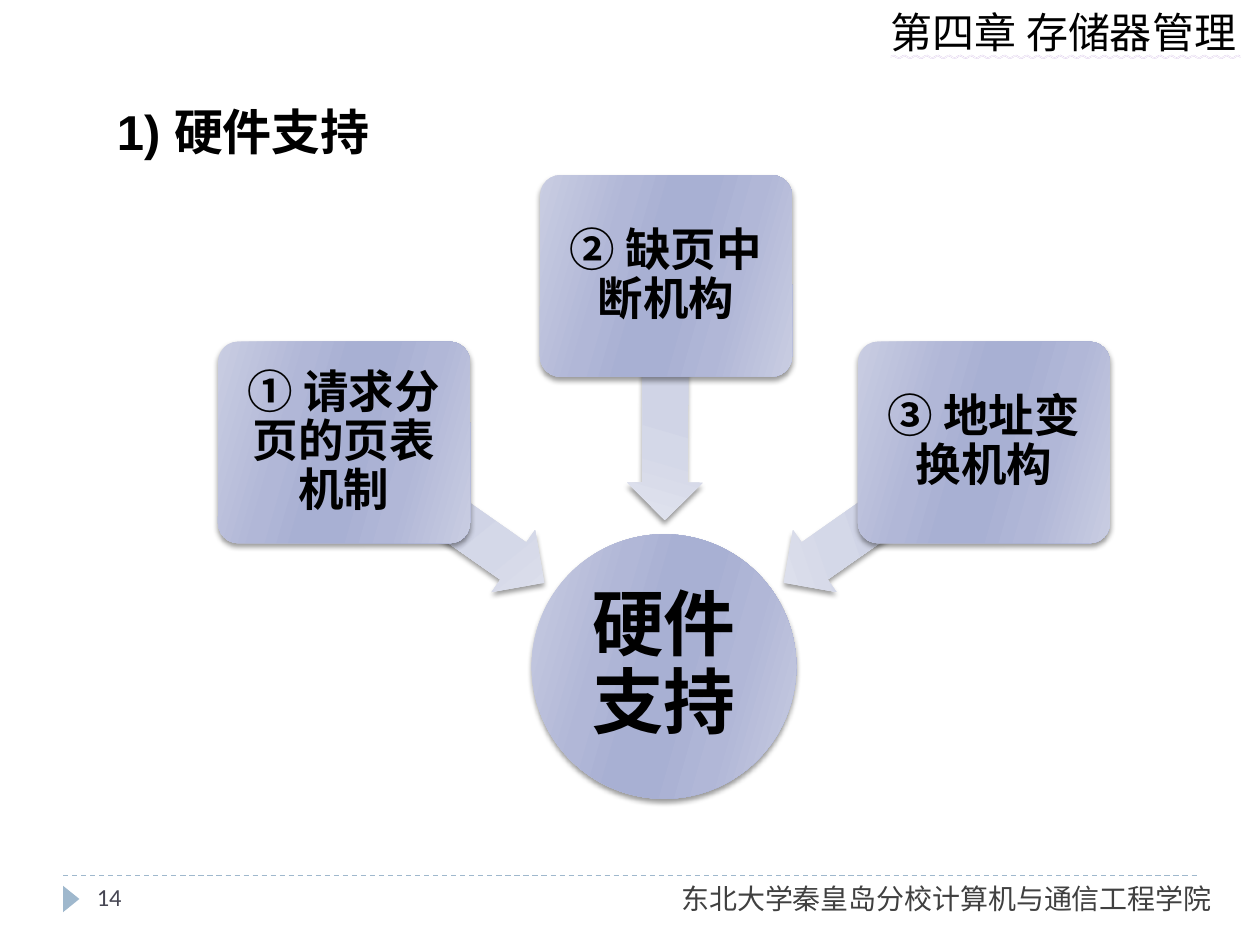
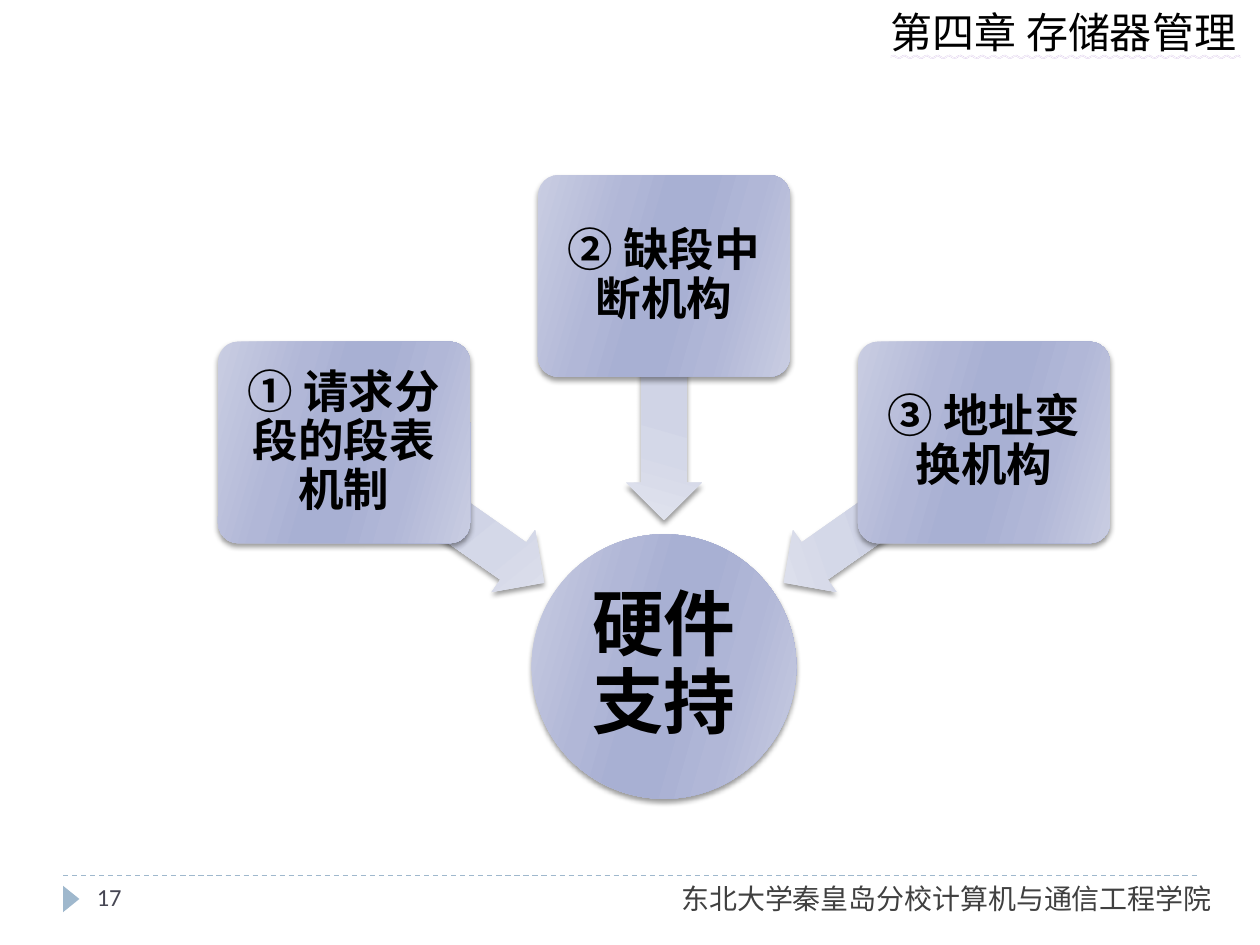
"""Build two slides on the hardware support for paging and segments."""
import math

from lxml import etree
from pptx import Presentation
from pptx import util as u
from pptx.dml.color import RGBColor
from pptx.enum import dml, shapes, text
from pptx.oxml.ns import qn

BLACK = RGBColor(0x00, 0x00, 0x00)
GREY = RGBColor(0x40, 0x40, 0x40)
SLATE = RGBColor(0x46, 0x46, 0x53)
STEEL = RGBColor(0x9F, 0xB8, 0xCD)
LILAC = RGBColor(0xC0, 0xA0, 0xDC)

EDGE, MID, CORE = (RGBColor.from_string(c) for c in ("C9CDE2", "B1B7D7", "A8B0D3"))
PALE_EDGE, PALE_MID, PALE_CORE = (
    RGBColor.from_string(c) for c in ("E1E3EE", "D4D8E8", "D0D4E6"))
NODE_TONES = (EDGE, MID, CORE)
ARROW_TONES = (PALE_EDGE, PALE_MID, PALE_CORE)
STOPS = (0, 30, 45, 55, 73, 100)

WIDTH, HEIGHT = u.Inches(10), u.Inches(7.5)
COLS = 100
HUB = (52.7, 52.9)
HUB_SIZE = 21
NODE_SIZE = (20, 16)
ARROW_SIZE = (19.4, 6)
NODE_ORBIT, ARROW_ORBIT = 31, 21.3
LEFT, TOP, RIGHT = 215, 270, 325


def cells(*counts):
    """Turn counts of grid cells into lengths."""
    return [round(n * WIDTH / COLS) for n in counts]


def style(frame, size, color, font="Calibri", bold=False):
    """Format every run of a text frame."""
    for para in frame.paragraphs:
        for run in para.runs:
            run.font.name, run.font.size = font, u.Pt(size)
            run.font.bold, run.font.color.rgb = bold, color


def label(slide, words, box, size, color, wrap=True, **look):
    """Add a text box and return its frame."""
    frame = slide.shapes.add_textbox(*cells(*box)).text_frame
    frame.word_wrap = wrap
    frame.text = words
    style(frame, size, color, **look)
    return frame


def wave(frame, color):
    """Underline the first run with a coloured double wave."""
    font = frame.paragraphs[0].runs[0].font
    font.underline = text.MSO_UNDERLINE.WAVY_DOUBLE_LINE
    props = frame.paragraphs[0].runs[0]._r.rPr
    line = etree.Element(qn("a:uFill"))
    fill = etree.SubElement(line, qn("a:solidFill"))
    etree.SubElement(fill, qn("a:srgbClr"), val=str(color))
    props.find(qn("a:solidFill")).addnext(line)


def shade(shape, tones):
    """Fill a shape with a mirrored gradient."""
    shape.fill.gradient()
    shape.fill.gradient_angle = 344
    stops = shape._element.spPr.find(qn("a:gradFill")).find(qn("a:gsLst"))
    for old in list(stops):
        stops.remove(old)
    for place, tone in zip(STOPS, tones + tones[::-1]):
        stop = etree.SubElement(stops, qn("a:gs"), pos=str(place * 1000))
        etree.SubElement(stop, qn("a:srgbClr"), val=str(tone))


def drop(shape):
    """Give a shape a soft shadow below it."""
    shape.shadow.inherit = False
    effects = shape._element.spPr.find(qn("a:effectLst"))
    cast = etree.SubElement(
        effects, qn("a:outerShdw"), blurRad=str(u.Pt(3)), dist=str(u.Pt(2)),
        dir="5400000", rotWithShape="0")
    tint = etree.SubElement(cast, qn("a:srgbClr"), val=str(BLACK))
    etree.SubElement(tint, qn("a:alpha"), val="40000")


def solid(slide, kind, mid, size, tones):
    """Add a shaded shape around a middle point."""
    (x, y), (w, h) = mid, size
    shape = slide.shapes.add_shape(kind, *cells(x - w / 2, y - h / 2, w, h))
    shade(shape, tones)
    shape.line.fill.background()
    drop(shape)
    return shape


def write(shape, words, size, inset):
    """Set centred bold text inside a shape."""
    frame = shape.text_frame
    frame.word_wrap = True
    frame.vertical_anchor = text.MSO_ANCHOR.MIDDLE
    frame.margin_left = frame.margin_right = u.Inches(inset)
    frame.margin_top = frame.margin_bottom = u.Inches(inset)
    frame.text = words
    frame.paragraphs[0].alignment = text.PP_ALIGN.CENTER
    frame.paragraphs[0].line_spacing = 0.9
    style(frame, size, BLACK, bold=True)


def orbit(angle, reach):
    """Find the point at an angle and a reach from the hub."""
    turn = math.radians(angle)
    return HUB[0] + reach * math.cos(turn), HUB[1] + reach * math.sin(turn)


def spoke(slide, angle, words):
    """Add a node and its arrow towards the hub."""
    arrow = solid(slide, shapes.MSO_SHAPE.LEFT_ARROW,
                  orbit(angle, ARROW_ORBIT), ARROW_SIZE, ARROW_TONES)
    arrow.adjustments[0], arrow.adjustments[1] = 0.6, 0.5
    arrow.rotation = angle
    node = solid(slide, shapes.MSO_SHAPE.ROUNDED_RECTANGLE,
                 orbit(angle, NODE_ORBIT), NODE_SIZE, NODE_TONES)
    node.adjustments[0] = 0.1
    write(node, words, 26, 0.05)


def wheel(slide, nodes):
    """Draw the hub and its spokes."""
    hub = solid(slide, shapes.MSO_SHAPE.OVAL, HUB, (HUB_SIZE, HUB_SIZE), NODE_TONES)
    write(hub, "硬件支持", 41, 0.03)
    for angle, words in nodes:
        spoke(slide, angle, words)


def frame_page(slide, number):
    """Add the chapter header, the footer rule and the page number."""
    rule = slide.shapes.add_connector(
        shapes.MSO_CONNECTOR.STRAIGHT, *cells(5, 69.5, 95, 69.5))
    rule.line.color.rgb, rule.line.width = STEEL, u.Pt(0.75)
    rule.line.dash_style = dml.MSO_LINE.DASH
    etree.SubElement(rule._element.spPr, qn("a:effectLst"))
    mark = slide.shapes.add_shape(
        shapes.MSO_SHAPE.ISOSCELES_TRIANGLE, *cells(4.6, 70.7, 2.1, 1.3))
    mark.rotation = 90
    mark.fill.solid()
    mark.fill.fore_color.rgb = STEEL
    mark.line.fill.background()
    mark.shadow.inherit = False
    head = label(slide, "第四章 存储器管理", (69.7, 0, 29.9, 5), 24, BLACK, wrap=False)
    wave(head, LILAC)
    label(slide, "东北大学秦皇岛分校计算机与通信工程学院",
          (53.1, 69.5, 44.7, 3.7), 16, GREY, wrap=False)
    label(slide, str(number), (6.7, 69.5, 21.7, 4), 14, SLATE)


def add_page(deck, number, nodes):
    """Add a framed slide with its wheel."""
    slide = deck.slides.add_slide(deck.slide_layouts[6])
    frame_page(slide, number)
    wheel(slide, nodes)
    return slide


def main():
    """Build and save the deck."""
    deck = Presentation()
    deck.slide_width, deck.slide_height = WIDTH, HEIGHT
    paging = add_page(deck, 14, (
        (LEFT, "① 请求分页的页表机制"),
        (TOP + 0.3, "② 缺页中断机构"),
        (RIGHT, "③ 地址变换机构")))
    label(paging, "1) 硬件支持", (8.3, 7.6, 50, 5.7), 28, BLACK,
          font="Arial", bold=True)
    add_page(deck, 17, (
        (LEFT, "① 请求分段的段表机制"),
        (TOP, "② 缺段中断机构"),
        (RIGHT, "③ 地址变换机构")))
    deck.save("out.pptx")


if __name__ == "__main__":
    main()
